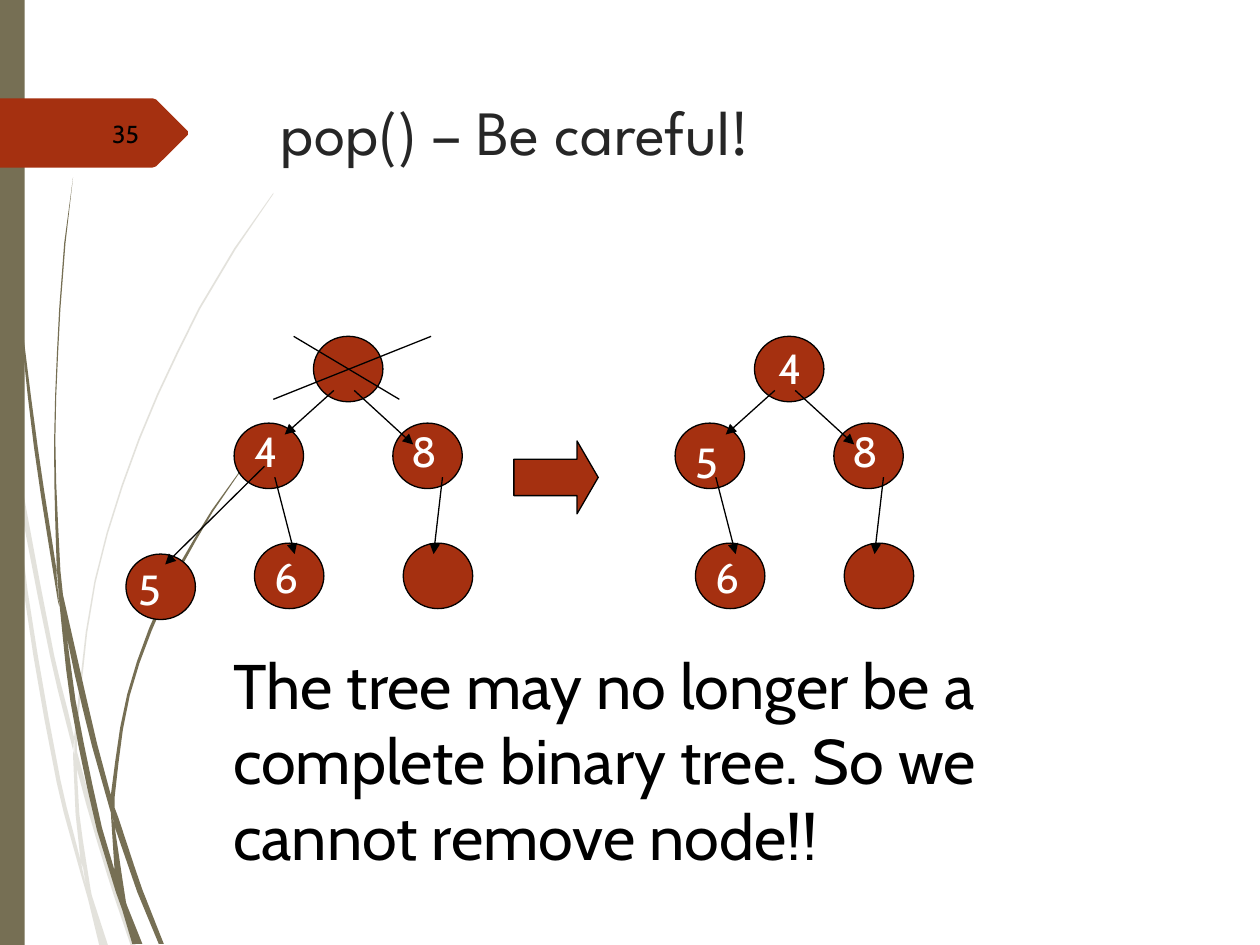
import math
from dataclasses import dataclass

import pptx
import pptx.dml.color
import pptx.enum.shapes
import pptx.enum.text
import pptx.oxml.ns
import pptx.util
from lxml import etree

Cm = pptx.util.Cm
Pt = pptx.util.Pt
SHAPE = pptx.enum.shapes.MSO_SHAPE
ALIGN = pptx.enum.text.PP_ALIGN
ANCHOR = pptx.enum.text.MSO_ANCHOR
qn = pptx.oxml.ns.qn


@dataclass(frozen=True)
class Theme:
    rust: str = "A53010"
    olive: str = "766F54"
    ink: str = "000000"
    heading: str = "262626"
    white: str = "FFFFFF"
    heading_font: str = "League Spartan"
    body_font: str = "Cabin"
    large: int = 36
    label: int = 24
    small: int = 14
    line: float = 0.75


THEME = Theme()
STEP = 0.0254  # cm per unit of the outlines below
PALE_WISPS = [
    [(8, 350), (6, 322), (0, 282), (0, 299), (7, 344)],
    [(40, 522), (59, 599), (59, 586), (43, 520), (10, 345), (12, 376)],
    [(64, 607), (61, 596), (61, 610), (85, 694), (104, 751), (108, 751), (88, 692)],
    [(64, 683), (48, 619), (22, 469), (12, 376), (8, 350), (19, 470), (45, 621),
     (64, 693), (70, 714), (69, 707)],
    [(58, 599), (60, 646), (64, 683), (67, 692), (73, 711), (72, 706), (63, 646), (61, 610)],
    [(61, 584), (76, 462), (111, 349), (159, 245), (187, 198), (217, 154),
     (217, 153), (186, 197), (158, 244), (110, 348), (75, 461), (59, 584),
     (58, 599), (61, 610)],
    [(65, 683), (69, 707), (70, 714), (79, 751), (86, 751), (73, 711), (67, 692)],
]
DARK_WISPS = [
    [(5, 110), (14, 233), (27, 355), (46, 477), (47, 481), (45, 457), (45, 453),
     (30, 355), (15, 232), (6, 109), (4, 48), (3, 0), (2, 0), (3, 48)],
    [(73, 592), (88, 645), (88, 631), (77, 590), (50, 472), (53, 505)],
    [(94, 649), (91, 641), (91, 656), (109, 708), (126, 749), (130, 749), (113, 706)],
    [(91, 691), (81, 657), (60, 556), (53, 505), (47, 477), (56, 557), (77, 659),
     (92, 708), (97, 722), (96, 717)],
    [(50, 472), (48, 453), (44, 349), (48, 245), (52, 193), (58, 141), (51, 193),
     (47, 245), (43, 349), (45, 449), (47, 477), (53, 505)],
    [(91, 633), (103, 552), (131, 476), (169, 406), (191, 374), (216, 344),
     (215, 344), (191, 373), (168, 405), (129, 474), (101, 551), (88, 631),
     (88, 645), (91, 656)],
    [(88, 645), (91, 691), (96, 706), (101, 719), (100, 716), (91, 656), (90, 651)],
    [(96, 706), (91, 691), (96, 717), (97, 722), (105, 749), (113, 749), (101, 719)],
]
TAG = [(0, 78), (121, 78), (124, 79), (149, 104), (149, 107), (124, 132), (121, 133), (0, 133)]

# Centimetres from the corner of a tree's box
ROOT, LEFT, RIGHT = (3.78, 0), (2.18, 1.75), (5.38, 1.75)
OUTER, INNER, LAST = (0, 4.39), (2.59, 4.17), (5.59, 4.17)
EDGES = {
    LEFT: ((4.19, 1.09), (3.2, 1.98)),
    RIGHT: ((4.6, 1.09), (5.79, 2.18)),
    LAST: ((6.38, 2.84), (6.2, 4.39)),
    OUTER: ((2.79, 2.62), (0.79, 4.6)),
    INNER: ((3, 2.84), (3.4, 4.39)),
}
CROSS = [((3.38, 0), (5.51, 1.27)), ((2.97, 1.27), (6.15, 0))]


def rgb(value):
    return pptx.dml.color.RGBColor.from_string(value)


def paint(shape, fill, line=None):
    shape.shadow.inherit = False
    shape.fill.solid()
    shape.fill.fore_color.rgb = rgb(fill)
    if line:
        shape.line.color.rgb = rgb(line)
        shape.line.width = Pt(THEME.line)
    else:
        shape.line.fill.background()


def write(frame, words, size, color, font=THEME.body_font, align=ALIGN.LEFT, anchor=ANCHOR.TOP):
    frame.word_wrap = True
    frame.vertical_anchor = anchor
    frame.text = words
    line = frame.paragraphs[0]
    line.alignment = align
    line.font.size, line.font.name = Pt(size), font
    line.font.color.rgb = rgb(color)


def add_text(shapes, box, words, size, color, **style):
    write(shapes.add_textbox(*map(Cm, box)).text_frame, words, size, color, **style)


def smooth(anchors):
    """Round the long sides of a closed outline, keeping sharp corners."""
    count = len(anchors)

    def chord(i, j):
        (ax, ay), (bx, by) = anchors[i % count], anchors[j % count]
        length = math.hypot(bx - ax, by - ay)
        return (bx - ax) / length, (by - ay) / length, length

    def tangent(i, own):
        before, after = chord(i - 1, i), chord(i, i + 1)
        bends_gently = before[0] * after[0] + before[1] * after[1] > 0.8
        return chord(i - 1, i + 1)[:2] if bends_gently else own[:2]

    points = []
    for i, start in enumerate(anchors):
        end, own = anchors[(i + 1) % count], chord(i, i + 1)
        leave, arrive = tangent(i, own), tangent(i + 1, own)
        steps = 3 if own[2] > 60 else 1
        for t in (k / steps for k in range(steps)):
            points.append(tuple(
                (2 * t**3 - 3 * t**2 + 1) * start[a] + (3 * t**2 - 2 * t**3) * end[a]
                + own[2] * ((t**3 - 2 * t**2 + t) * leave[a] + (t**3 - t**2) * arrive[a])
                for a in (0, 1)))
    return points


def add_outlines(shapes, corner, outlines, color):
    """Draw closed outlines as one shape."""
    builder = None
    for points in outlines:
        spots = [(Cm(corner[0] + x * STEP), Cm(corner[1] + y * STEP)) for x, y in points]
        if builder is None:
            builder = shapes.build_freeform(*spots[0], scale=1.0)
        else:
            builder.move_to(*spots[0])
        builder.add_line_segments(spots[1:], close=True)
    drawn = builder.convert_to_shape()
    paint(drawn, color)
    return drawn


def add_line(shapes, corner, ends, arrow=False):
    points = [Cm(corner[a] + end[a]) for end in ends for a in (0, 1)]
    line = shapes.add_connector(pptx.enum.shapes.MSO_CONNECTOR.STRAIGHT, *points)
    line.line.color.rgb = rgb(THEME.ink)
    line.line.width = Pt(THEME.line)
    properties = line._element.spPr
    if arrow:
        etree.SubElement(properties.find(qn("a:ln")), qn("a:tailEnd"), type="triangle")
    etree.SubElement(properties, qn("a:effectLst"))


def add_decoration(slide, corner):
    pale = add_outlines(slide.shapes, corner, map(smooth, PALE_WISPS), THEME.olive)
    tint = pale._element.spPr.find(qn("a:solidFill"))[0]
    etree.SubElement(tint, qn("a:alpha"), val="20000")
    add_outlines(slide.shapes, corner, map(smooth, DARK_WISPS), THEME.olive)
    band = slide.shapes.add_shape(SHAPE.RECTANGLE, *map(Cm, (*corner, 0.5, 19.05)))
    paint(band, THEME.olive)
    add_outlines(slide.shapes, corner, [TAG], THEME.rust)
    number = (corner[0] + 1.42, corner[1] + 2.18, 1.63, 1.02)
    add_text(slide.shapes, number, "35", THEME.small, THEME.ink,
             align=ALIGN.RIGHT, anchor=ANCHOR.MIDDLE)


def add_tree(shapes, corner, nodes, labels, crossed=False):
    x, y = corner
    for left, top in nodes:
        node = shapes.add_shape(SHAPE.OVAL, Cm(x + left), Cm(y + top), Cm(1.4), Cm(1.32))
        paint(node, THEME.rust, THEME.ink)
    for node in nodes:
        if node in EDGES:
            add_line(shapes, corner, EDGES[node], arrow=True)
    for stroke in CROSS if crossed else ():
        add_line(shapes, corner, stroke)
    for key, left, top in labels:
        add_text(shapes, (x + left, y + top, 1.27, 1.27), key, THEME.label, THEME.white)


def add_trees(slide, corner):
    shapes = slide.shapes.add_group_shape().shapes
    x, y = corner
    shared = [("6", 2.74, 4.22), ("8", 5.51, 1.68)]
    add_tree(shapes, corner, [ROOT, LEFT, RIGHT, OUTER, LAST, INNER],
             [("4", 2.34, 1.68), ("5", 0, 4.45), *shared], crossed=True)
    becomes = shapes.add_shape(SHAPE.RIGHT_ARROW, *map(Cm, (x + 7.82, y + 2.11, 1.7, 1.47)))
    becomes.adjustments[0], becomes.adjustments[1] = 0.5, 0.29
    paint(becomes, THEME.rust, THEME.ink)
    add_tree(shapes, (x + 8.89, y), [ROOT, LEFT, RIGHT, LAST, INNER],
             [("4", 4.01, 0), ("5", 2.34, 1.9), *shared])


def add_title(slide, box):
    title = slide.shapes.title
    title.left, title.top, title.width, title.height = map(Cm, box)
    write(title.text_frame, "pop() – Be careful!", THEME.large, THEME.heading,
          font=THEME.heading_font)


def main():
    deck = pptx.Presentation()
    deck.slide_width, deck.slide_height = Cm(25.4), Cm(19.05)
    slide = deck.slides.add_slide(deck.slide_layouts.get_by_name("Title Only"))
    add_decoration(slide, (0, 0))
    add_title(slide, (5.41, 1.73, 18.31, 3.56))
    add_trees(slide, (2.54, 6.78))
    add_text(slide.shapes, (4.45, 12.9, 17.58, 4.88),
             "The tree may no longer be a complete binary tree. So we cannot remove node!!",
             THEME.large, THEME.ink)
    deck.save("out.pptx")


if __name__ == "__main__":
    main()
